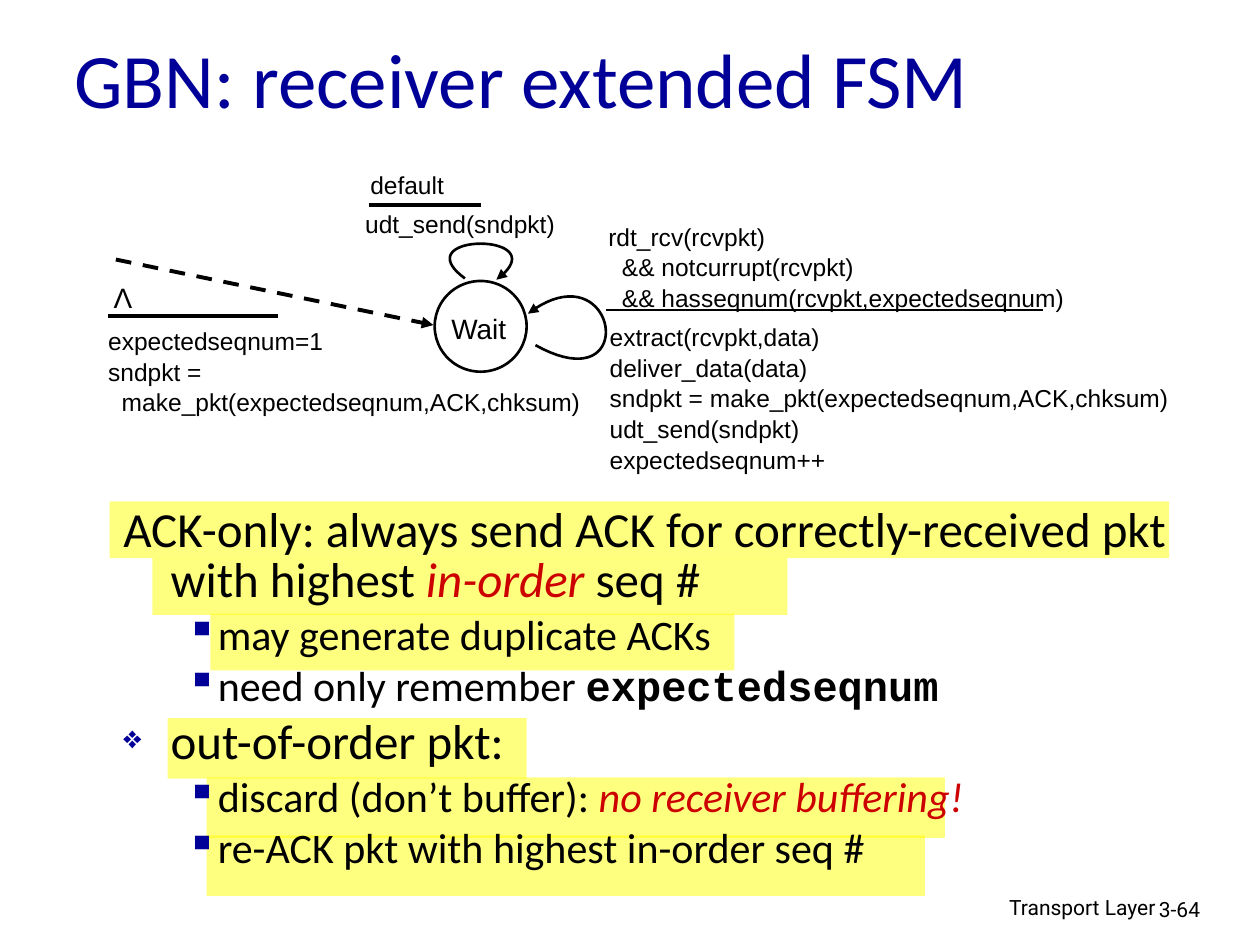
from pptx import Presentation
from pptx.dml.color import RGBColor
from pptx.enum.dml import MSO_LINE
from pptx.enum.shapes import MSO_CONNECTOR, MSO_SHAPE
from pptx.enum.text import MSO_ANCHOR, MSO_AUTO_SIZE, PP_ALIGN
from pptx.oxml.ns import qn
from pptx.util import Inches, Pt
from lxml import etree

LEFT, CENTER, RIGHT = PP_ALIGN.LEFT, PP_ALIGN.CENTER, PP_ALIGN.RIGHT
RECTANGLE, OVAL = MSO_SHAPE.RECTANGLE, MSO_SHAPE.OVAL
STRAIGHT, DASH = MSO_CONNECTOR.STRAIGHT, MSO_LINE.DASH
MIDDLE, NO_FIT = MSO_ANCHOR.MIDDLE, MSO_AUTO_SIZE.NONE
COLORS = {name: RGBColor.from_string(value) for name, value in {
    "ink": "000000", "title": "000099", "accent": "CC0000",
    "highlight": "FFFF00", "paper": "FFFFFF"}.items()}

deck = Presentation()
deck.slide_width, deck.slide_height = Inches(10), Inches(7.5)
CELL = deck.slide_width // 100
page = deck.slides.add_slide(deck.slide_layouts[5])
shapes = page.shapes


def grid(*cells):
    return [round(cell * CELL) for cell in cells]


def style(font, name, size, color):
    font.name, font.size = name, Pt(size)
    font.color.rgb = COLORS[color]


title = shapes.title
title.left, title.top, title.width, title.height = grid(4.9, 2.3, 85, 7.7)
title.text_frame.auto_size = NO_FIT
title.text_frame.vertical_anchor = MIDDLE
title.text_frame.text = "GBN: receiver extended FSM"
heading = title.text_frame.paragraphs[0]
heading.alignment = LEFT
style(heading.font, "Calibri", 44, "title")

highlights = [
    (13.3, 57, 28.5, 4.8), (16.4, 61.7, 58.6, 4.8), (16.4, 66.3, 57, 4.8),
    (8.7, 39.8, 84.1, 4.5), (12.1, 44.3, 50.4, 4.5), (16.7, 48.7, 41.6, 4.5),
]
for area in highlights:
    band = shapes.add_shape(RECTANGLE, *grid(*area))
    band.shadow.inherit = False
    band.fill.solid()
    band.fill.fore_color.rgb = COLORS["highlight"]
    band.line.fill.background()
    tint = band.fill._xPr.find(".//" + qn("a:srgbClr"))
    etree.SubElement(tint, qn("a:alpha"), val="50000")

state = shapes.add_shape(OVAL, *grid(34.5, 22.3, 7.3, 7.2))
state.shadow.inherit = False
state.fill.solid()
state.fill.fore_color.rgb = COLORS["paper"]
state.line.color.rgb = COLORS["ink"]
state.line.width = Pt(1.5)

strokes = []
rules = [
    ((9.2, 20.6, 34.4, 25.8), 2.25, True),
    ((29.3, 16.3, 38.2, 16.3), 2.25, False),
    ((48.1, 24.6, 82.8, 24.6), 1.5, False),
    ((8.6, 25.1, 22.1, 25.1), 2.25, False),
]
for ends, weight, initial in rules:
    rule = shapes.add_connector(STRAIGHT, *grid(*ends))
    etree.SubElement(rule._element.spPr, qn("a:effectLst"))
    if initial:
        rule.line.dash_style = DASH
    strokes.append((rule, weight, initial))

loops = [
    [(42.5, 27.4), (51, 32.1), (49, 19.5), (41.9, 24.9)],
    [(36.9, 22.1), (31.9, 18.4), (44.5, 18.4), (39.4, 22.2)],
]
STEPS = 40
for controls in loops:
    points = []
    for step in range(STEPS + 1):
        t = step / STEPS
        weights = ((1 - t) ** 3, 3 * t * (1 - t) ** 2, 3 * t * t * (1 - t), t ** 3)
        points.append(grid(*(sum(w * c for w, c in zip(weights, axis))
                             for axis in zip(*controls))))
    builder = shapes.build_freeform(*points[0])
    builder.add_line_segments(points[1:], close=False)
    loop = builder.convert_to_shape()
    loop.shadow.inherit = False
    loop.fill.background()
    strokes.append((loop, 1.5, True))

for stroke, weight, arrow in strokes:
    stroke.line.color.rgb = COLORS["ink"]
    stroke.line.width = Pt(weight)
    if arrow:
        etree.SubElement(stroke.line._get_or_add_ln(), qn("a:tailEnd"), type="triangle")

labels = [
    ((33.6, 24.2, 8.8, 2.6), "Arial", 16, CENTER, ["Wait"]),
    ((8, 21.8, 3.5, 3.7), "Arial", 16, CENTER, ["Λ"]),
    ((28, 16.1, 17.7, 3.4), "Arial", 14, LEFT, ["udt_send(sndpkt)"]),
    ((28.4, 13, 7.9, 2.7), "Arial", 14, LEFT, ["default"]),
    ((47.3, 17, 39, 6.2), "Arial", 14, LEFT, [
        "rdt_rcv(rcvpkt)", "  && notcurrupt(rcvpkt)",
        "  && hasseqnum(rcvpkt,expectedseqnum)"]),
    ((47.4, 25, 47.2, 9.4), "Arial", 14, LEFT, [
        "extract(rcvpkt,data)", "deliver_data(data)",
        "sndpkt = make_pkt(expectedseqnum,ACK,chksum)",
        "udt_send(sndpkt)", "expectedseqnum++"]),
    ((7.6, 25.3, 39.8, 10.7), "Arial", 14, LEFT, [
        "expectedseqnum=1", "sndpkt =",
        "  make_pkt(expectedseqnum,ACK,chksum)"]),
    ((61, 70.5, 31.7, 3.1), "Roboto", 12, RIGHT, ["Transport Layer"]),
    ((91, 70.7, 7.4, 3), "Roboto", 12, LEFT, ["3-64"]),
]
for area, typeface, size, alignment, lines in labels:
    frame = shapes.add_textbox(*grid(*area)).text_frame
    frame.word_wrap = len(lines[0]) > 1
    frame.text = "\n".join(lines)
    for para in frame.paragraphs:
        para.alignment = alignment
        if len(lines) > 1:
            para.line_spacing = 1.04
        style(para.font, typeface, size, "ink")

notes = [
    (0, None, [("ACK-only: always send ACK for correctly-received pkt with highest ", None),
               ("in-order ", "accent"), ("seq #", None)]),
    (1, "▪", [("may generate duplicate ACKs", None)]),
    (1, "▪", [("need only remember ", None), ("expectedseqnum", "code")]),
    (0, "❖", [("out-of-order pkt:", None)]),
    (1, "▪", [("discard (don’t buffer): ", None), ("no receiver buffering!", "accent")]),
    (1, "▪", [("re-ACK pkt with highest in-order seq #", None)]),
]
LEVELS = [(28, 3.75, -3.75, "65000"), (24, 7.5, -2.5, "100000")]
body = shapes.add_textbox(*grid(8.8, 39.8, 89.1, 31.2)).text_frame
body.word_wrap = True
for index, (level, bullet, spans) in enumerate(notes):
    para = body.add_paragraph() if index else body.paragraphs[0]
    size, margin, indent, bullet_size = LEVELS[level]
    para.level = level
    props = para._p.get_or_add_pPr()
    for key, length in zip(("marL", "indent"), grid(margin, indent)):
        props.set(key, str(length))
    if bullet:
        tone = etree.SubElement(props, qn("a:buClr"))
        etree.SubElement(tone, qn("a:srgbClr"), val=str(COLORS["title"]))
        etree.SubElement(props, qn("a:buSzPct"), val=bullet_size)
        etree.SubElement(props, qn("a:buChar"), char=bullet)
    para.line_spacing = 0.85
    if index:
        para.space_before = Pt(size * 0.2)
    style(para.font, "Calibri", size, "ink")
    for text, emphasis in spans:
        span = para.add_run()
        span.text = text
        if emphasis == "accent":
            span.font.italic = True
            span.font.color.rgb = COLORS["accent"]
        elif emphasis == "code":
            span.font.name, span.font.bold = "Courier New", True

deck.save("out.pptx")
